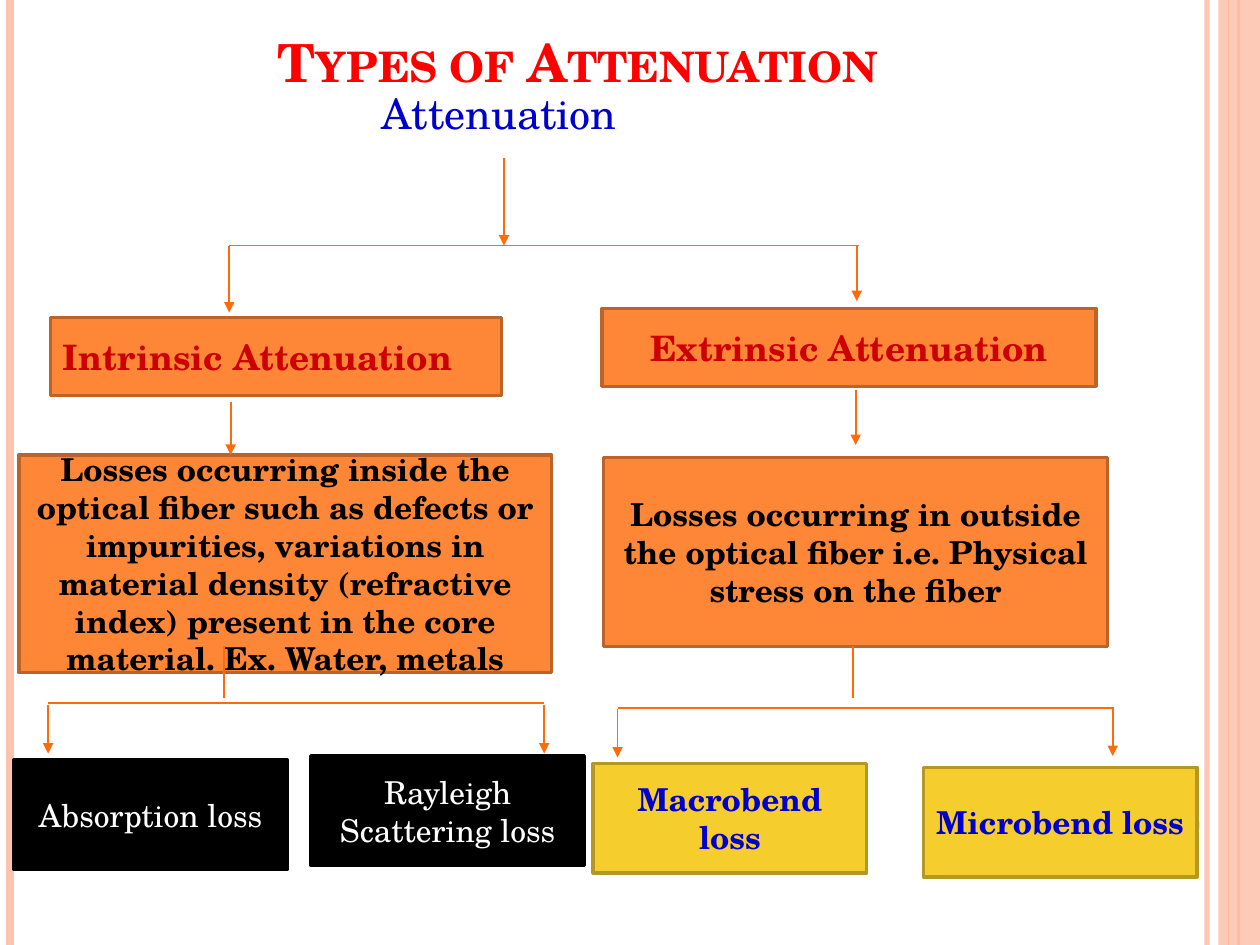
from dataclasses import dataclass
from lxml import etree
from pptx import Presentation
from pptx.util import Cm, Pt
from pptx.dml.color import RGBColor
from pptx.enum import shapes, text
from pptx.oxml import ns


@dataclass(frozen=True)
class Theme:
    font: str = "TeX Gyre Schola"
    red: str = "FF0000"
    dark: str = "CC0000"
    blue: str = "0000CC"
    black: str = "000000"
    white: str = "FFFFFF"
    orange: str = "FE8637"
    rust: str = "BC6329"
    yellow: str = "F5CD2D"
    olive: str = "B59821"
    arrow: str = "FF6B0A"
    peach: str = "FEC3AE"
    title: int = 30
    root: int = 24
    head: int = 20
    note: int = 18


T = Theme()
MID, LEFT = text.PP_ALIGN.CENTER, text.PP_ALIGN.LEFT
TITLE, ROOT = "Types of Attenuation", "Attenuation"

# Box styles: fill, line, text colour, type size, bold
STYLES = {
    "head": (T.orange, T.rust, T.dark, T.head, True),
    "note": (T.orange, T.rust, T.black, T.note, True),
    "dark": (T.black, T.black, T.white, T.note, False),
    "gold": (T.yellow, T.olive, T.blue, T.note, True),
}
LEAF = (5.51, 2.21)
# Words, style, alignment, left, top, width, height (cm)
BOXES = [
    ("Intrinsic Attenuation", "head", LEFT, 1.02, 6.4, 9.09, 1.57),
    ("Extrinsic Attenuation", "head", MID, 12.14, 6.22, 9.96, 1.57),
    ("Losses occurring inside the optical fiber such as defects or "
     "impurities, variations in material density (refractive index) present "
     "in the core material. Ex. Water, metals",
     "note", MID, 0.38, 9.17, 10.74, 4.39),
    ("Losses occurring in outside the optical fiber i.e. Physical stress on "
     "the fiber", "note", MID, 12.17, 9.22, 10.16, 3.81),
    ("Absorption loss", "dark", MID, 0.28, 15.32, *LEAF),
    ("Rayleigh Scattering loss", "dark", MID, 6.27, 15.24, *LEAF),
    ("Macrobend loss", "gold", MID, 11.96, 15.39, *LEAF),
    ("Microbend loss", "gold", MID, 18.62, 15.47, *LEAF),
]
# Vertical lines: x, top, bottom (cm)
ARROWS = [
    (10.16, 3.18, 4.95), (4.62, 4.95, 6.3), (17.27, 4.95, 6.07),
    (4.65, 8.1, 9.17), (17.25, 7.87, 8.97),
    (0.97, 14.22, 15.19), (10.97, 14.22, 15.19),
    (12.45, 14.3, 15.27), (22.43, 14.27, 15.24),
]
STEMS = [(4.52, 13.03, 14.07), (17.2, 13.03, 14.07)]
# Horizontal lines: left, right, y (cm)
BARS = [(4.62, 17.32, 4.95), (0.97, 10.97, 14.17), (12.45, 22.45, 14.27)]
# Full-height rules: x (cm), colour, width (pt), opacity (%)
RULES = [
    (24.33, T.peach, 3, 93), (0.2, T.peach, 4.5, 100),
    (24.97, T.orange, 1.5, 100), (24.77, T.orange, 0.75, 100),
]
BAND = (24.56, 0, 0.84, 19.05)
DOT = (22.66, 15.88, 1.52, 1.52)


def sub(node, tag, **attrs):
    return etree.SubElement(node, ns.qn(tag), attrs)


def fade(shape, pct):
    """Set the opacity of the shape's first solid colour."""
    tone = next(shape._element.spPr.iter(ns.qn("a:srgbClr")))
    sub(tone, "a:alpha", val=str(pct * 1000))


def place(shape, *spot):
    shape.left, shape.top, shape.width, shape.height = map(Cm, spot)


def write(para, words, size, tone, bold=False, align=LEFT):
    para.alignment = align
    run = para.add_run()
    run.text = words
    font = run.font
    font.name, font.size, font.bold = T.font, Pt(size), bold
    font.color.rgb = RGBColor.from_string(tone)
    return run


def form(slide, kind, spot, fill, edge=None):
    shape = slide.shapes.add_shape(kind, *map(Cm, spot))
    shape.shadow.inherit = False
    shape.fill.solid()
    shape.fill.fore_color.rgb = RGBColor.from_string(fill)
    if edge:
        shape.line.color.rgb = RGBColor.from_string(edge)
        shape.line.width = Pt(2)
    else:
        shape.line.fill.background()
    return shape


def rule(slide, ends, tone=T.arrow, width=1, tip=False):
    wire = slide.shapes.add_connector(
        shapes.MSO_CONNECTOR.STRAIGHT, *map(Cm, ends))
    wire.line.color.rgb = RGBColor.from_string(tone)
    wire.line.width = Pt(width)
    if tip:
        sub(wire.line._get_or_add_ln(), "a:tailEnd", type="triangle")
    sub(wire._element.spPr, "a:effectLst")
    return wire


def frame(slide):
    """Draw the border rules, the side band and the dot."""
    for x, tone, width, pct in RULES:
        wire = rule(slide, (x, 0, x, 19.05), tone, width)
        if pct < 100:
            fade(wire, pct)
    fade(form(slide, shapes.MSO_SHAPE.RECTANGLE, BAND, T.peach), 87)
    form(slide, shapes.MSO_SHAPE.OVAL, DOT, T.orange)


def heads(slide):
    """Fill the title and body placeholders."""
    title, body = slide.placeholders
    place(title, 1.27, 0.03, 20.75, 1.98)
    title.text_frame.vertical_anchor = text.MSO_ANCHOR.BOTTOM
    run = write(title.text_frame.paragraphs[0], TITLE, T.title, T.red,
                True, MID)
    run.font._element.set("cap", "small")

    place(body, 0.41, 0.36, 23.47, 18.08)
    area = body.text_frame
    area.margin_left, area.margin_top = Cm(7.29), Cm(1.4)
    para = area.paragraphs[0]
    props = para._p.get_or_add_pPr()
    props.set("marL", "0")
    props.set("indent", "0")
    sub(props, "a:buNone")
    para.space_before = Pt(0)
    write(para, ROOT, T.root, T.blue)


def chart(slide):
    """Draw the boxes of the tree and the lines that join them."""
    for words, style, align, *spot in BOXES:
        fill, edge, tone, size, bold = STYLES[style]
        box = form(slide, shapes.MSO_SHAPE.RECTANGLE, spot, fill, edge)
        area = box.text_frame
        area.word_wrap = True
        area.vertical_anchor = text.MSO_ANCHOR.MIDDLE
        write(area.paragraphs[0], words, size, tone, bold, align)
    for x, top, end in ARROWS:
        rule(slide, (x, top, x, end), tip=True)
    for x, top, end in STEMS:
        rule(slide, (x, top, x, end))
    for left, right, y in BARS:
        rule(slide, (left, y, right, y))


def main():
    deck = Presentation()
    deck.slide_width, deck.slide_height = Cm(25.4), Cm(19.05)
    slide = deck.slides.add_slide(deck.slide_layouts[1])
    frame(slide)
    heads(slide)
    chart(slide)
    deck.save("out.pptx")


if __name__ == "__main__":
    main()
